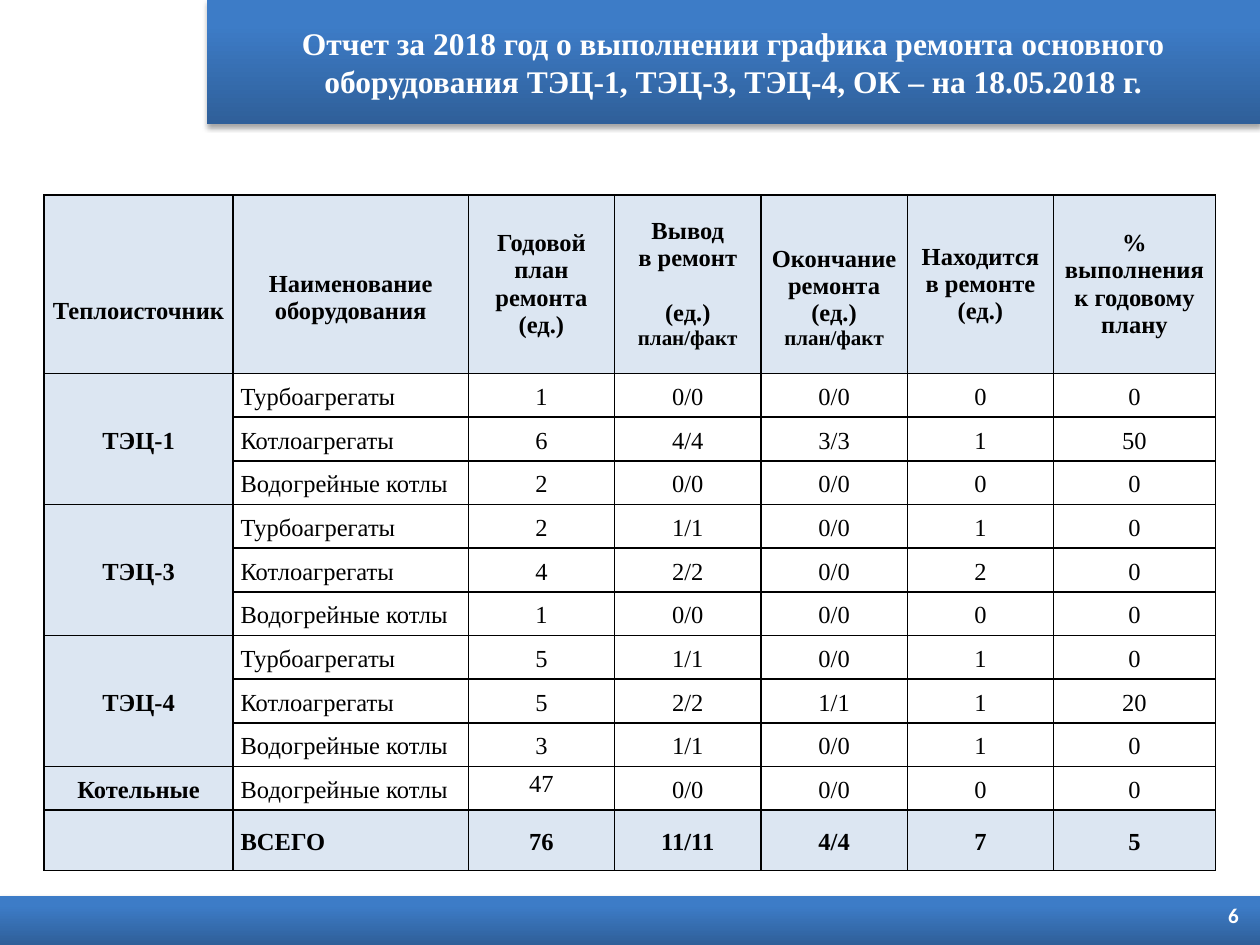
from lxml import etree
from pptx import Presentation
from pptx.dml.color import RGBColor
from pptx.enum.shapes import MSO_SHAPE
from pptx.enum.text import MSO_ANCHOR, PP_ALIGN
from pptx.oxml import parse_xml
from pptx.util import Cm, Pt

LEFT, CENTER, RIGHT = PP_ALIGN.LEFT, PP_ALIGN.CENTER, PP_ALIGN.RIGHT
TOP, MIDDLE = MSO_ANCHOR.TOP, MSO_ANCHOR.MIDDLE
RECTANGLE = MSO_SHAPE.RECTANGLE
NAMESPACE = "http://schemas.openxmlformats.org/drawingml/2006/main"
SERIF, SANS = "Times New Roman", "Calibri"
BLACK, WHITE, PALE_BLUE = "000000", "FFFFFF", "DCE6F2"
DARK_BLUE, BRIGHT_BLUE = "2F5F99", "3D7CC7"

COLUMN_WIDTHS = [3.81, 4.74] + [2.95] * 4 + [3.26]
ROW_HEIGHTS = [3.6] + [0.88] * 10 + [1.22]
LINE_HEIGHT = 0.55
SMALL_LABEL = "план/факт"
HEADERS = [
    (["Теплоисточник"], 2 * LINE_HEIGHT),
    (["Наименование оборудования"], LINE_HEIGHT),
    (["Годовой план ремонта", "(ед.)"], 0),
    (["Вывод", "в ремонт", "(ед.)", SMALL_LABEL], 0),
    (["Окончание ремонта", "(ед.)", SMALL_LABEL], LINE_HEIGHT),
    (["Находится в ремонте (ед.)"], 0),
    (["%", "выполнения к годовому плану"], 0),
]
TURBINES, BOILERS, WATER_BOILERS = "Турбоагрегаты", "Котлоагрегаты", "Водогрейные котлы"
SOURCES = [
    ("ТЭЦ-1", [
        (TURBINES, "1", "0/0", "0/0", "0", "0"),
        (BOILERS, "6", "4/4", "3/3", "1", "50"),
        (WATER_BOILERS, "2", "0/0", "0/0", "0", "0"),
    ]),
    ("ТЭЦ-3", [
        (TURBINES, "2", "1/1", "0/0", "1", "0"),
        (BOILERS, "4", "2/2", "0/0", "2", "0"),
        (WATER_BOILERS, "1", "0/0", "0/0", "0", "0"),
    ]),
    ("ТЭЦ-4", [
        (TURBINES, "5", "1/1", "0/0", "1", "0"),
        (BOILERS, "5", "2/2", "1/1", "1", "20"),
        (WATER_BOILERS, "3", "1/1", "0/0", "1", "0"),
    ]),
    ("Котельные", [(WATER_BOILERS, "47", "0/0", "0/0", "0", "0")]),
    ("", [("ВСЕГО", "76", "11/11", "4/4", "7", "5")]),
]


def color(value):
    return RGBColor.from_string(value)


def set_values(target, values):
    for name, value in values.items():
        setattr(target, name, value)


def write(para, text, ink, font, layout):
    span = para.add_run()
    span.text = text
    set_values(span.font, font)
    span.font.color.rgb = color(ink)
    set_values(para, layout)


def add_band(page, left, top, width, height):
    band = page.shapes.add_shape(RECTANGLE, Cm(left), Cm(top), Cm(width), Cm(height))
    band.line.fill.background()
    band.fill.gradient()
    band.fill.gradient_angle = 90
    stops = zip(band.fill.gradient_stops, [0, 0.8], [DARK_BLUE, BRIGHT_BLUE])
    for stop, position, value in stops:
        stop.position = position
        stop.color.rgb = color(value)
    band._element.spPr.append(parse_xml(
        f'<a:effectLst xmlns:a="{NAMESPACE}">'
        '<a:outerShdw blurRad="39370" dist="22860" dir="5400000" rotWithShape="0">'
        '<a:srgbClr val="000000"><a:alpha val="35000"/></a:srgbClr>'
        '</a:outerShdw></a:effectLst>'))
    return band


def add_title(page, left, top, width, height):
    frame = add_band(page, left, top, width, height).text_frame
    set_values(frame, {"word_wrap": True, "vertical_anchor": MIDDLE})
    title = ("Отчет за 2018 год о выполнении графика ремонта основного "
             "оборудования ТЭЦ-1, ТЭЦ-3, ТЭЦ-4, ОК – на 18.05.2018 г.")
    write(frame.paragraphs[0], title, WHITE,
          {"name": SERIF, "size": Pt(18), "bold": True}, {"alignment": CENTER})


def add_footer(page, left, top, width, height):
    add_band(page, left, top, width, height)
    box = page.shapes.add_textbox(
        Cm(left + width - 1.4), Cm(top - 0.2), Cm(1.22), Cm(height + 0.2))
    set_values(box.text_frame, {"word_wrap": True, "vertical_anchor": MIDDLE})
    write(box.text_frame.paragraphs[0], "6", WHITE,
          {"name": SANS, "size": Pt(12), "bold": True}, {"alignment": RIGHT})


def style_cell(cell, fill):
    set_values(cell, {"margin_left": Cm(0.15), "margin_right": Cm(0.15),
                      "margin_top": 0, "margin_bottom": 0, "vertical_anchor": MIDDLE})
    properties = cell._tc.get_or_add_tcPr()
    for side in ("lnL", "lnR", "lnT", "lnB"):
        line = etree.SubElement(properties, f"{{{NAMESPACE}}}{side}", w="12700")
        solid = etree.SubElement(line, f"{{{NAMESPACE}}}solidFill")
        etree.SubElement(solid, f"{{{NAMESPACE}}}srgbClr", val=BLACK)
    if fill:
        cell.fill.solid()
        cell.fill.fore_color.rgb = color(fill)
    else:
        cell.fill.background()


def write_header(cell, lines, offset):
    cell.margin_top = Cm(offset)
    for index, text in enumerate(lines):
        para = cell.text_frame.paragraphs[0] if index == 0 else cell.text_frame.add_paragraph()
        size = Pt(12 if text == SMALL_LABEL else 14)
        write(para, text, BLACK, {"name": SERIF, "size": size, "bold": True},
              {"alignment": CENTER})
        if lines[index - 1] == "в ремонт":
            para.space_before = Pt(16)


def write_value(cell, text, bold, alignment):
    write(cell.text_frame.paragraphs[0], text, BLACK,
          {"name": SERIF, "size": Pt(14), "bold": bold},
          {"alignment": alignment, "line_spacing": 1.15, "space_after": Pt(10)})


def add_repair_table(page, left, top):
    table = page.shapes.add_table(
        len(ROW_HEIGHTS), len(COLUMN_WIDTHS), Cm(left), Cm(top),
        Cm(sum(COLUMN_WIDTHS)), Cm(sum(ROW_HEIGHTS))).table
    set_values(table, {"first_row": False, "horz_banding": False})
    for column, width in zip(table.columns, COLUMN_WIDTHS):
        column.width = Cm(width)
    last_row = len(ROW_HEIGHTS) - 1
    for row, height in enumerate(ROW_HEIGHTS):
        table.rows[row].height = Cm(height)
        for column in range(len(COLUMN_WIDTHS)):
            shaded = row in (0, last_row) or column == 0
            style_cell(table.cell(row, column), PALE_BLUE if shaded else None)
    for column, (lines, offset) in enumerate(HEADERS):
        write_header(table.cell(0, column), lines, offset)

    row = 1
    for source, records in SOURCES:
        source_cell = table.cell(row, 0)
        if len(records) > 1:
            source_cell.merge(table.cell(row + len(records) - 1, 0))
        if source:
            write_value(source_cell, source, True, CENTER)
        for record in records:
            for column, text in enumerate(record, 1):
                cell = table.cell(row, column)
                write_value(cell, text, row == last_row, LEFT if column == 1 else CENTER)
                if text == "47":
                    cell.vertical_anchor = TOP
            row += 1


def main():
    deck = Presentation()
    set_values(deck, {"slide_width": Cm(25.4), "slide_height": Cm(19.05)})
    page = deck.slides.add_slide(deck.slide_layouts[6])
    add_footer(page, 0, 18.06, 25.4, 0.99)
    add_title(page, 4.17, 0, 21.23, 2.51)
    add_repair_table(page, 0.89, 3.93)
    deck.save("out.pptx")


if __name__ == "__main__":
    main()
